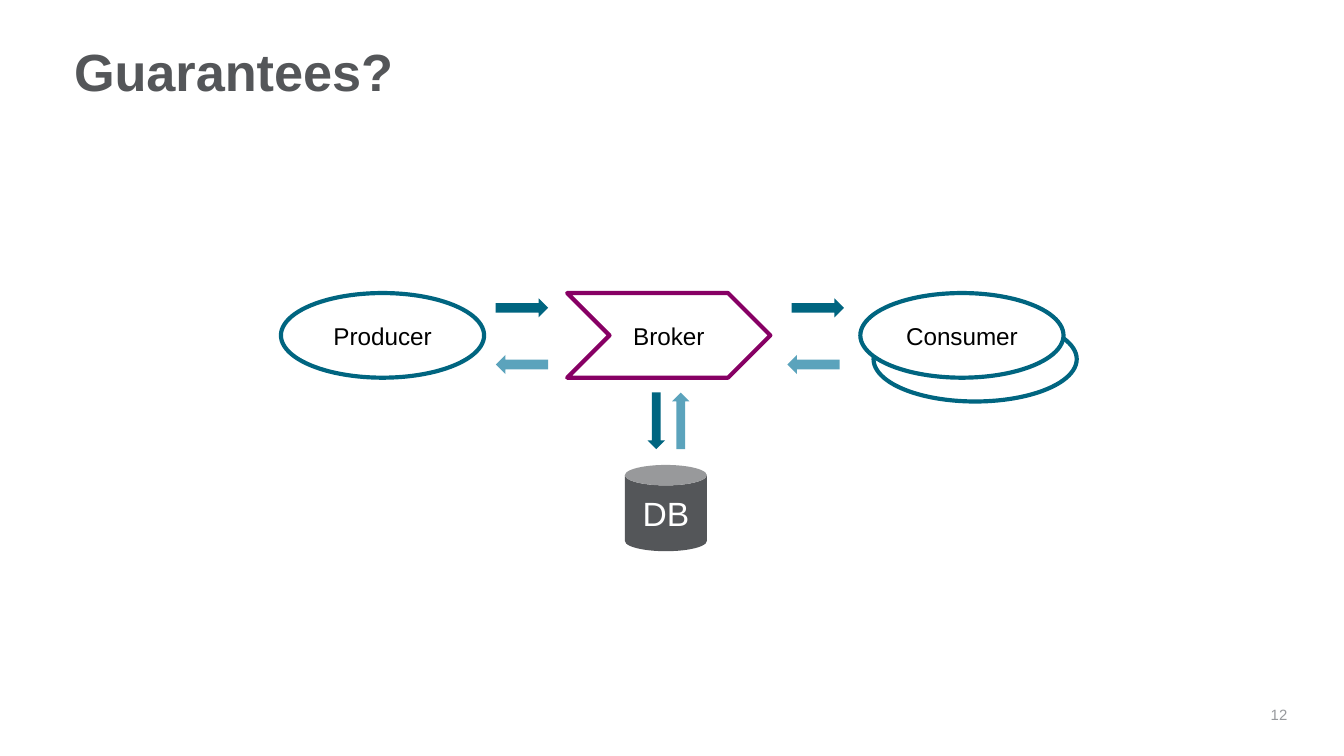
from dataclasses import dataclass

from pptx import Presentation
from pptx.dml.color import RGBColor
from pptx.enum.shapes import MSO_SHAPE as Shape
from pptx.enum.text import MSO_ANCHOR as Anchor, PP_ALIGN as Align
from pptx.util import Cm, Pt


@dataclass(frozen=True)
class Theme:
    font: str = "Arial"
    teal: str = "006580"
    light_teal: str = "5BA3BC"
    purple: str = "870064"
    dark_grey: str = "545659"
    grey: str = "97999D"
    black: str = "000000"
    white: str = "FFFFFF"
    title_size: float = 28
    store_size: float = 18
    label_size: float = 13
    number_size: float = 8
    outline: float = 2.25


class Diagram:
    def __init__(self, page, theme):
        self.page = page
        self.theme = theme

    def set_text(self, frame, text, size, color, align, bold=False):
        para = frame.paragraphs[0]
        para.text = text
        para.alignment = align
        font = para.font
        font.name, font.size, font.bold = self.theme.font, Pt(size), bold
        font.color.rgb = RGBColor.from_string(color)
        return para

    def text(self, area, text, size, color, align=Align.LEFT, bold=False):
        box = self.page.shapes.add_textbox(*map(Cm, area))
        frame = box.text_frame
        frame.word_wrap = True
        frame.margin_left = frame.margin_right = 0
        return self.set_text(frame, text, size, color, align, bold)

    def shape(self, kind, area, fill=None, line=None):
        shape = self.page.shapes.add_shape(kind, *map(Cm, area))
        shape.shadow.inherit = False
        if fill:
            shape.fill.solid()
            shape.fill.fore_color.rgb = RGBColor.from_string(fill)
        else:
            shape.fill.background()
        if line:
            shape.line.color.rgb = RGBColor.from_string(line)
            shape.line.width = Pt(self.theme.outline)
        else:
            shape.line.fill.background()
        return shape

    def label(self, shape, text, size, color):
        shape.text_frame.vertical_anchor = Anchor.MIDDLE
        self.set_text(shape.text_frame, text, size, color, Align.CENTER)

    def node(self, kind, left, top, line, text=None, fill=None):
        shape = self.shape(kind, (left, top, 3.84, 1.6), fill, line)
        if text:
            self.label(shape, text, self.theme.label_size, self.theme.black)

    def arrow(self, kind, area, reply=False):
        """Block arrow; a reply is lighter and points the opposite way."""
        theme = self.theme
        arrow = self.shape(kind, area, theme.light_teal if reply else theme.teal)
        arrow.rotation = 180 if reply else 0


def main():
    deck = Presentation()
    deck.slide_width, deck.slide_height = Cm(25.4), Cm(14.29)
    theme = Theme()
    diagram = Diagram(deck.slides.add_slide(deck.slide_layouts[6]), theme)

    diagram.text((23.85, 13.21, 0.48, 0.66), "12", theme.number_size, theme.grey, Align.RIGHT)
    title = diagram.text((1.4, 0.76, 22.53, 1.42), "Guarantees?",
                         theme.title_size, theme.dark_grey, bold=True)
    title.line_spacing = 0.9

    row_top = 5.54
    diagram.node(Shape.OVAL, 5.31, row_top, theme.teal, "Producer")
    diagram.node(Shape.CHEVRON, 10.72, row_top, theme.purple, "Broker", theme.white)
    diagram.node(Shape.OVAL, 16.51, 5.99, theme.teal)
    diagram.node(Shape.OVAL, 16.26, row_top, theme.teal, "Consumer", theme.white)

    for request_left, reply_left in ((9.37, 9.37), (14.96, 14.88)):
        diagram.arrow(Shape.RIGHT_ARROW, (request_left, 5.64, 0.99, 0.36))
        diagram.arrow(Shape.RIGHT_ARROW, (reply_left, 6.71, 0.99, 0.36), reply=True)

    store = diagram.shape(Shape.CAN, (11.81, 8.79, 1.55, 1.63), theme.dark_grey)
    diagram.label(store, "DB", theme.store_size, theme.white)
    diagram.arrow(Shape.DOWN_ARROW, (12.24, 7.42, 0.33, 1.07))
    diagram.arrow(Shape.DOWN_ARROW, (12.7, 7.42, 0.33, 1.07), reply=True)

    deck.save("out.pptx")


if __name__ == "__main__":
    main()
